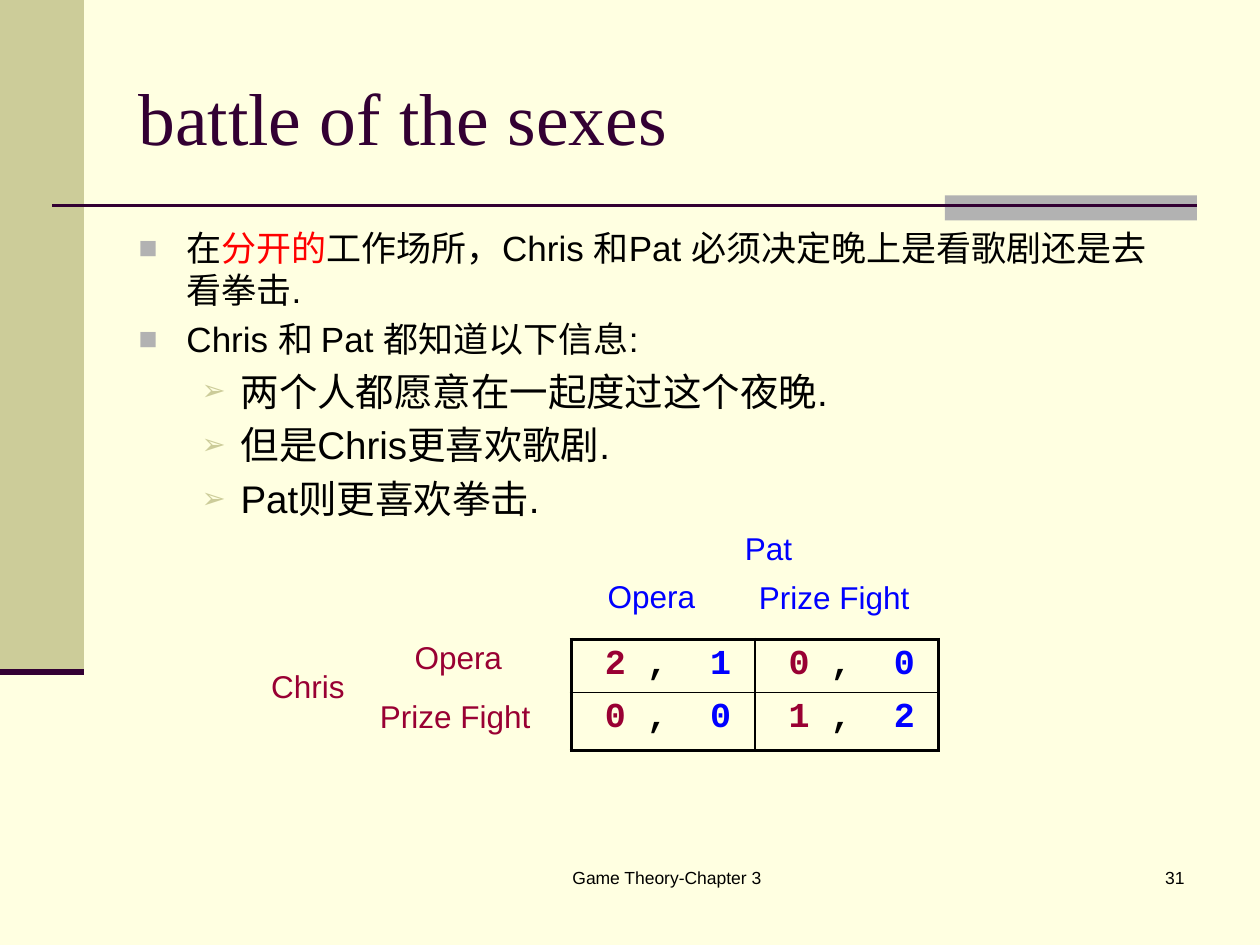
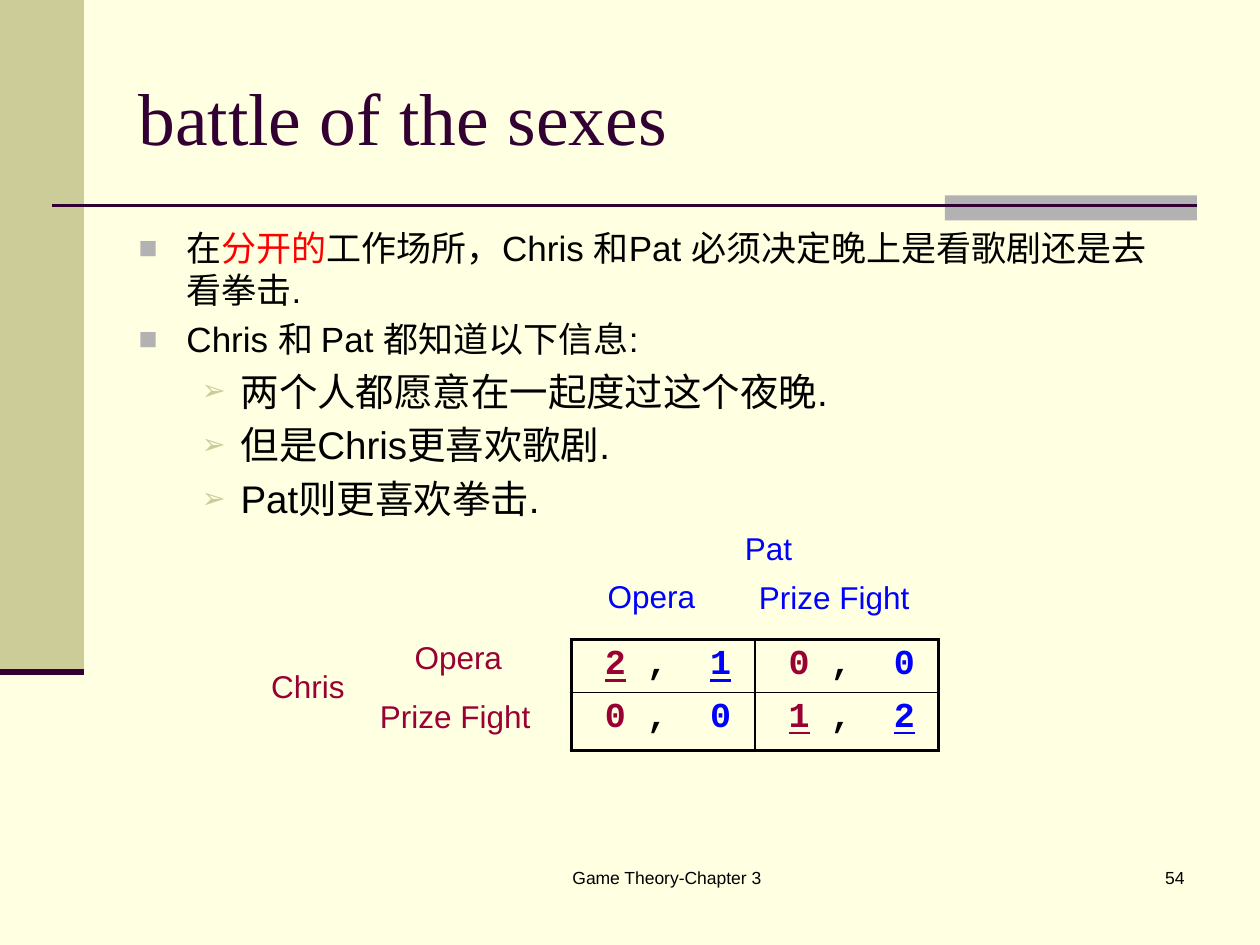
from typing import NamedTuple

import lxml.etree
import pptx
import pptx.dml.color
import pptx.enum.shapes
import pptx.enum.text
import pptx.oxml.ns
import pptx.util

Pt = pptx.util.Pt
ALIGN = pptx.enum.text.PP_ALIGN
ANCHOR = pptx.enum.text.MSO_ANCHOR
qn = pptx.oxml.ns.qn

# The slide is a grid of 120 columns and 90 rows.
WIDE, HIGH = pptx.util.Inches(10), pptx.util.Inches(7.5)
COLS, ROWS = 120, 90

HUES = {
    "page": "FFFFE1", "sand": "CCCC99", "gray": "B2B2B2", "plum": "330033",
    "ink": "000000", "red": "FF0000", "wine": "990033", "blue": "0000FF",
}
SANS, SERIF, MONO = "Arial", "Times New Roman", "Courier New"


class Box(NamedTuple):
    left: float
    top: float
    width: float
    height: float


class Rule(NamedTuple):
    start: float
    end: float
    row: float
    weight: float


class Bit(NamedTuple):
    text: str
    hue: str = "ink"
    under: bool = False


class Label(NamedTuple):
    text: str
    box: Box
    hue: str = "ink"
    size: float = 18
    align: ALIGN = ALIGN.CENTER


class Level(NamedTuple):
    mark: str
    hue: str
    scale: int
    size: float
    left: float
    hang: float


class Item(NamedTuple):
    level: int
    bits: list[Bit]


class Page(NamedTuple):
    number: str
    best: set[tuple[int, int]]


BANDS = [(Box(0, 0, 8, 64), "sand"), (Box(90, 18.6, 24, 2.4), "gray")]
RULES = [Rule(5, 114, 19.6, 1.5), Rule(0, 8, 64, 3.5)]
TITLE = Box(12, 3.6, 102, 15)
BODY = Box(12, 21, 101, 30.4)
NUMBER = Box(89, 82, 25, 6)
FOOTER = Label("Game Theory-Chapter 3", Box(44, 82, 39, 6), size=10)

LEVELS = [
    Level("■", "gray", 90, 20, 0.38, 0.38),
    Level("➢", "sand", 75, 22, 0.81, 0.31),
]
ITEMS = [
    Item(0, [Bit("在"), Bit("分开的", "red"),
             Bit("工作场所，Chris 和Pat 必须决定晚上是看歌剧还是去看拳击.")]),
    Item(0, [Bit("Chris 和 Pat 都知道以下信息:")]),
    Item(1, [Bit("两个人都愿意在一起度过这个夜晚.")]),
    Item(1, [Bit("但是Chris更喜欢歌剧.")]),
    Item(1, [Bit("Pat则更喜欢拳击.")]),
]

GAME = Box(54.4, 60.9, 35, 10.56)
HEIGHTS = [5.04, 5.52]
PAYOFFS = [[(2, 1), (0, 0)], [(0, 0), (1, 2)]]
LABELS = [
    Label("Chris", Box(16.1, 62.9, 17.9, 4.8), "wine", align=ALIGN.RIGHT),
    Label("Opera", Box(34.7, 60.2, 17.9, 4.8), "wine"),
    Label("Prize Fight", Box(34.4, 65.8, 17.9, 4.8), "wine"),
    Label("Pat", Box(64.3, 49.8, 17.8, 4.8), "blue"),
    Label("Opera", Box(53.6, 54.4, 16.9, 4.8), "blue"),
    Label("Prize Fight", Box(71, 54.5, 16.9, 4.8), "blue"),
]
PAGES = [Page("31", set()), Page("54", {(0, 0), (1, 1)})]


def across(cols: float) -> int:
    return round(WIDE * cols / COLS)


def down(rows: float) -> int:
    return round(HIGH * rows / ROWS)


def place(box: Box) -> tuple[int, int, int, int]:
    return (across(box.left), down(box.top),
            across(box.width), down(box.height))


def move(shape, box: Box) -> None:
    shape.left, shape.top, shape.width, shape.height = place(box)


def paint(hue: str) -> pptx.dml.color.RGBColor:
    return pptx.dml.color.RGBColor.from_string(HUES[hue])


def style(run, face: str, size: float, hue: str) -> None:
    run.font.name, run.font.size = face, Pt(size)
    run.font.color.rgb = paint(hue)


def write(para, bits: list[Bit], face: str, size: float,
          bold: bool = False) -> None:
    for bit in bits:
        run = para.add_run()
        run.text = bit.text
        style(run, face, size, bit.hue)
        run.font.bold = bold
        run.font.underline = bit.under


def add_band(slide, box: Box, hue: str) -> None:
    kind = pptx.enum.shapes.MSO_SHAPE.RECTANGLE
    band = slide.shapes.add_shape(kind, *place(box))
    band.shadow.inherit = False
    band.fill.solid()
    band.fill.fore_color.rgb = paint(hue)
    band.line.fill.background()


def add_rule(slide, rule: Rule) -> None:
    line = slide.shapes.add_connector(
        pptx.enum.shapes.MSO_CONNECTOR.STRAIGHT,
        across(rule.start), down(rule.row), across(rule.end), down(rule.row))
    line.line.color.rgb = paint("plum")
    line.line.width = Pt(rule.weight)
    lxml.etree.SubElement(line._element.spPr, qn("a:effectLst"))


def add_label(slide, label: Label) -> None:
    frame = slide.shapes.add_textbox(*place(label.box)).text_frame
    frame.word_wrap = True
    frame.text = label.text
    para = frame.paragraphs[0]
    para.alignment = label.align
    style(para.runs[0], SANS, label.size, label.hue)


def fill_title(slide) -> None:
    title = slide.shapes.title
    move(title, TITLE)
    frame = title.text_frame
    frame.text = "battle of the sexes"
    frame.auto_size = pptx.enum.text.MSO_AUTO_SIZE.NONE
    frame.vertical_anchor = ANCHOR.MIDDLE
    frame.paragraphs[0].alignment = ALIGN.LEFT
    style(frame.paragraphs[0].runs[0], SERIF, 42, "plum")


def set_bullet(para, level: Level) -> None:
    props = para._p.get_or_add_pPr()
    props.set("marL", str(pptx.util.Inches(level.left)))
    props.set("indent", str(-pptx.util.Inches(level.hang)))
    color = lxml.etree.SubElement(props, qn("a:buClr"))
    lxml.etree.SubElement(color, qn("a:srgbClr"), val=HUES[level.hue])
    lxml.etree.SubElement(props, qn("a:buSzPct"), val=str(level.scale * 1000))
    lxml.etree.SubElement(props, qn("a:buFont"), typeface=SANS)
    lxml.etree.SubElement(props, qn("a:buChar"), char=level.mark)


def fill_body(slide) -> None:
    body = slide.placeholders[1]
    move(body, BODY)
    frame = body.text_frame
    frame.auto_size = pptx.enum.text.MSO_AUTO_SIZE.NONE
    for i, item in enumerate(ITEMS):
        para = frame.add_paragraph() if i else frame.paragraphs[0]
        level = LEVELS[item.level]
        para.level = item.level
        para.space_before = Pt(level.size * 0.2)
        set_bullet(para, level)
        write(para, item.bits, SANS, level.size)


def set_edges(cell, row: int, col: int) -> None:
    """Draw heavy edges around the table and thin ones inside it."""
    props = cell._tc.get_or_add_tcPr()
    outer = {"L": col == 0, "R": col == 1, "T": row == 0, "B": row == 1}
    for side, heavy in outer.items():
        width = Pt(2.25 if heavy else 1)
        edge = lxml.etree.SubElement(props, qn(f"a:ln{side}"), w=str(width))
        fill = lxml.etree.SubElement(edge, qn("a:solidFill"))
        lxml.etree.SubElement(fill, qn("a:srgbClr"), val=HUES["ink"])


def add_game(slide, best: set[tuple[int, int]]) -> None:
    """Add the payoff table, with the payoffs of the best cells underlined."""
    table = slide.shapes.add_table(2, 2, *place(GAME)).table
    table.first_row = table.horz_banding = False
    for row, pairs in enumerate(PAYOFFS):
        table.rows[row].height = down(HEIGHTS[row])
        for col, (chris, pat) in enumerate(pairs):
            cell = table.cell(row, col)
            set_edges(cell, row, col)
            cell.fill.background()
            under = (row, col) in best
            bits = [Bit(" ", "wine"), Bit(str(chris), "wine", under),
                    Bit(" ", "wine"), Bit(",  "),
                    Bit(str(pat), "blue", under)]
            write(cell.text_frame.paragraphs[0], bits, MONO, 20, bold=True)


def add_page(deck, page: Page) -> None:
    slide = deck.slides.add_slide(deck.slide_layouts[1])
    for box, hue in BANDS:
        add_band(slide, box, hue)
    for rule in RULES:
        add_rule(slide, rule)
    fill_title(slide)
    fill_body(slide)
    add_game(slide, page.best)
    number = Label(page.number, NUMBER, size=10, align=ALIGN.RIGHT)
    for label in [*LABELS, FOOTER, number]:
        add_label(slide, label)


def main() -> None:
    deck = pptx.Presentation()
    deck.slide_width, deck.slide_height = WIDE, HIGH
    back = deck.slide_master.background.fill
    back.solid()
    back.fore_color.rgb = paint("page")
    for page in PAGES:
        add_page(deck, page)
    deck.save("out.pptx")


if __name__ == "__main__":
    main()
